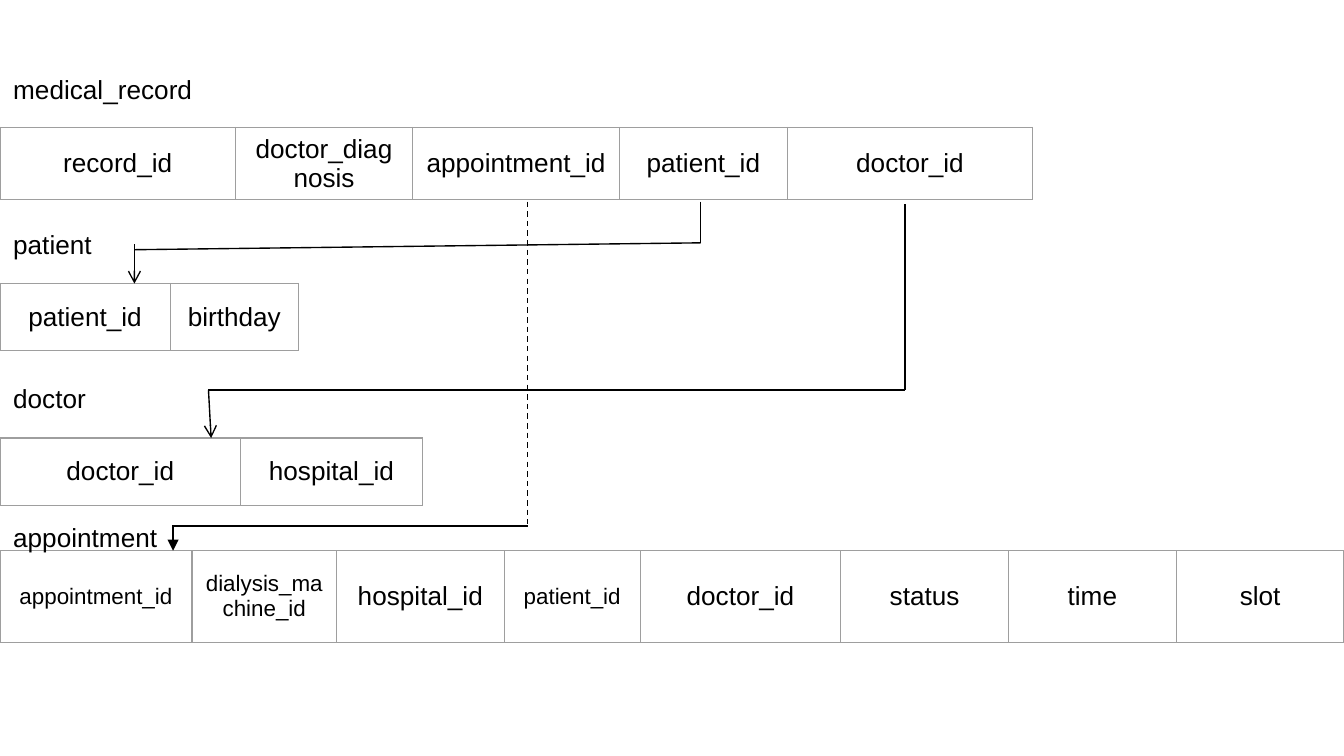
from dataclasses import dataclass

from lxml import etree
from pptx import Presentation
from pptx.dml.color import RGBColor
from pptx.enum.dml import MSO_LINE
from pptx.enum.shapes import MSO_CONNECTOR
from pptx.enum.text import MSO_ANCHOR, MSO_AUTO_SIZE, PP_ALIGN
from pptx.oxml.ns import qn
from pptx.util import Cm, Pt

CENTER = PP_ALIGN.CENTER
MIDDLE = MSO_ANCHOR.MIDDLE
FIT_SHAPE = MSO_AUTO_SIZE.SHAPE_TO_FIT_TEXT
STRAIGHT = MSO_CONNECTOR.STRAIGHT
DASH = MSO_LINE.DASH


@dataclass(frozen=True)
class Theme:
    font: str = "Arial"
    ink: RGBColor = RGBColor(0, 0, 0)
    border: str = "9E9E9E"
    normal: Pt = Pt(14)
    small: Pt = Pt(12)
    line: Pt = Pt(0.75)


THEME = Theme()


def style_text(paragraph, size):
    paragraph.font.name = THEME.font
    paragraph.font.size = size
    paragraph.font.bold = False
    paragraph.font.color.rgb = THEME.ink


def add_cell_borders(cell):
    properties = cell._tc.get_or_add_tcPr()
    for side in ("a:lnL", "a:lnR", "a:lnT", "a:lnB"):
        edge = etree.SubElement(properties, qn(side), w=str(THEME.line))
        fill = etree.SubElement(edge, qn("a:solidFill"))
        etree.SubElement(fill, qn("a:srgbClr"), val=THEME.border)


prs = Presentation()
prs.slide_width, prs.slide_height = Cm(25.4), Cm(14.29)
slide = prs.slides.add_slide(prs.slide_layouts[6])

# Relation name, label top, label width, row top, row height, (column, width) pairs
relations = [
    ("medical_record", 1.27, 3.91, 2.41, 1.27, [
        ("record_id", 4.45), ("doctor_diagnosis", 3.35), ("appointment_id", 3.91),
        ("patient_id", 3.17), ("doctor_id", 4.64)]),
    ("patient", 4.19, 2.01, 5.36, 1.27, [("patient_id", 3.22), ("birthday", 2.42)]),
    ("doctor", 7.11, 1.9, 8.28, 1.27, [("doctor_id", 4.55), ("hospital_id", 3.43)]),
    ("appointment", 9.73, 3.25, 10.41, 1.73, [
        ("appointment_id", 3.63), ("dialysis_machine_id", 2.73), ("hospital_id", 3.17),
        ("patient_id", 2.57), ("doctor_id", 3.79), ("status", 3.17), ("time", 3.17),
        ("slot", 3.17)]),
]
small_columns = {
    ("appointment", "appointment_id"),
    ("appointment", "dialysis_machine_id"),
    ("appointment", "patient_id"),
}

for relation, label_top, label_width, row_top, row_height, columns in relations:
    total_width = sum(width for _, width in columns)
    table = slide.shapes.add_table(
        1, len(columns), 0, Cm(row_top), Cm(total_width), Cm(row_height)).table
    table.first_row = table.horz_banding = False
    for index, (column, width) in enumerate(columns):
        table.columns[index].width = Cm(width)
        cell = table.cell(0, index)
        cell.text = column
        cell.vertical_anchor = MIDDLE
        add_cell_borders(cell)
        cell.fill.background()
        paragraph = cell.text_frame.paragraphs[0]
        paragraph.alignment = CENTER
        is_small = (relation, column) in small_columns
        style_text(paragraph, THEME.small if is_small else THEME.normal)

    label = slide.shapes.add_textbox(0, Cm(label_top), Cm(label_width), Cm(0.86)).text_frame
    label.word_wrap = False
    label.auto_size = FIT_SHAPE
    label.text = relation
    style_text(label.paragraphs[0], THEME.normal)

# Foreign key segments: start, end, dash style, arrowhead
key_segments = [
    # patient_id
    ((13.24, 3.81), (13.24, 4.59), None, None),
    ((13.24, 4.59), (2.54, 4.72), None, None),
    ((2.54, 4.62), (2.54, 5.36), None, "arrow"),
    # appointment_id
    ((9.97, 3.81), (9.97, 9.91), DASH, None),
    ((9.97, 9.94), (3.26, 9.94), None, None),
    ((3.27, 9.97), (3.27, 10.41), None, "triangle"),
    # doctor_id
    ((17.1, 3.86), (17.1, 7.37), None, None),
    ((17.1, 7.37), (3.94, 7.37), None, None),
    ((3.94, 7.37), (3.99, 8.28), None, "arrow"),
]
for start, end, dash, head in key_segments:
    points = [Cm(value) for value in start + end]
    segment = slide.shapes.add_connector(STRAIGHT, *points)
    segment.line.color.rgb = THEME.ink
    segment.line.width = THEME.line
    if dash:
        segment.line.dash_style = dash
    if head:
        etree.SubElement(segment.line._get_or_add_ln(), qn("a:tailEnd"), type=head)
    etree.SubElement(segment._element.spPr, qn("a:effectLst"))

prs.save("out.pptx")
